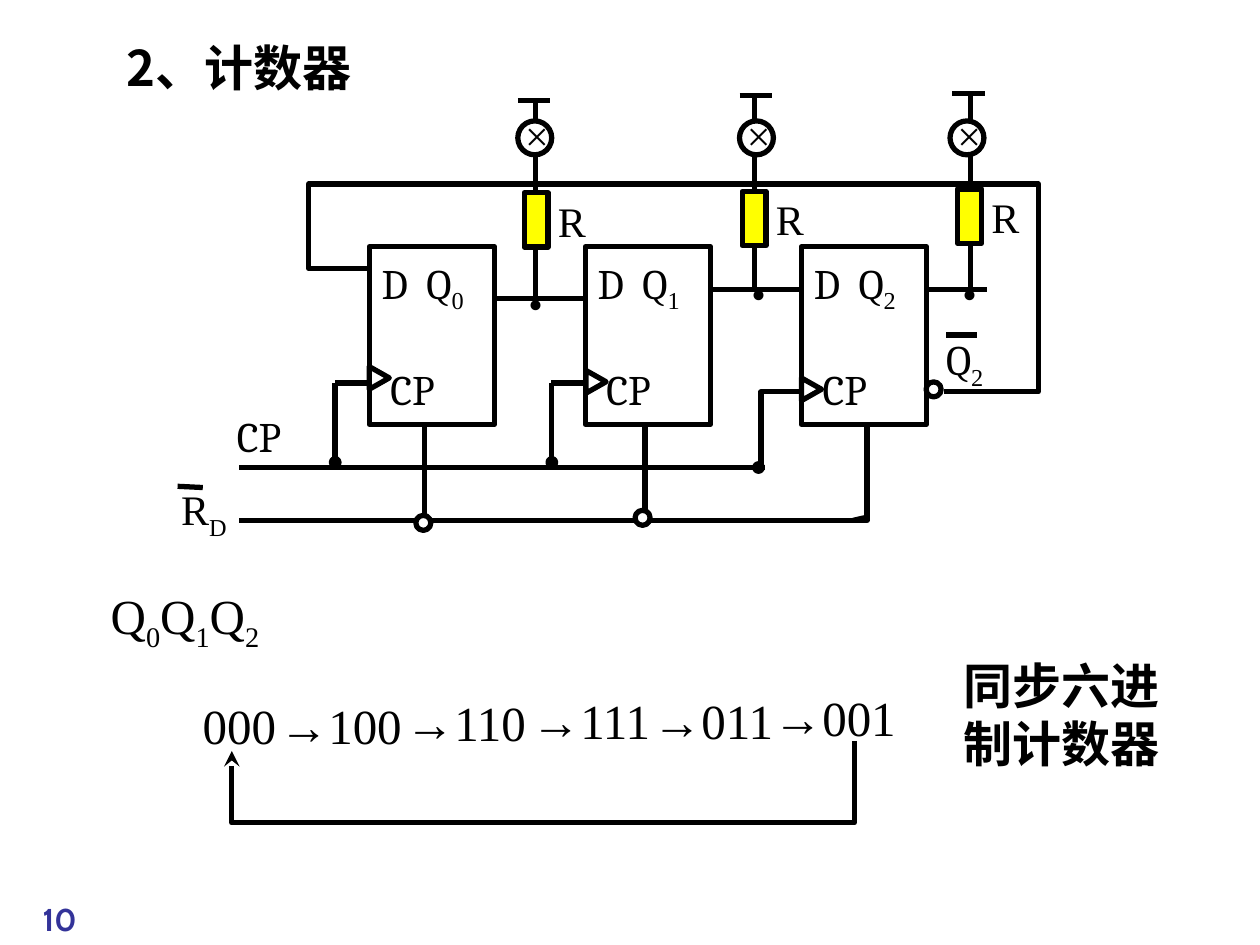
from lxml import etree
from pptx import Presentation
from pptx.dml.color import RGBColor
from pptx.enum import shapes, text
from pptx.oxml.ns import qn
from pptx.util import Pt

BLACK = RGBColor(0, 0, 0)
WHITE = RGBColor(255, 255, 255)
YELLOW = RGBColor(255, 255, 0)
NAVY = RGBColor(0x33, 0x33, 0x99)
SERIF, CAMBRIA, CHINESE = "Times New Roman", "Cambria", "Noto Sans CJK SC"
STAGE_STEP = 123.5


def outline(shape, fill=None):
    """Give a shape a black 3 pt line, no shadow, and an optional fill."""
    shape.shadow.inherit = False
    shape.line.color.rgb = BLACK
    shape.line.width = Pt(3)
    if fill is None:
        shape.fill.background()
    else:
        shape.fill.solid()
        shape.fill.fore_color.rgb = fill


def add_runs(paragraph, runs, size, color=BLACK, bold=False):
    """Add (wording, font, is_subscript) runs to a left-aligned paragraph."""
    paragraph.alignment = text.PP_ALIGN.LEFT
    for wording, font_name, subscript in runs:
        run = paragraph.add_run()
        run.text = wording
        run.font.name = font_name
        run.font.size = Pt(size)
        run.font.bold = bold
        run.font.color.rgb = color
        properties = run.font._element
        if subscript:
            properties.set("baseline", "-25000")
        if font_name == CHINESE:
            etree.SubElement(properties, qn("a:ea")).set("typeface", font_name)


presentation = Presentation()
presentation.slide_width, presentation.slide_height = Pt(720), Pt(540)
slide = presentation.slides.add_slide(presentation.slide_layouts[6])
slide.background.fill.solid()
slide.background.fill.fore_color.rgb = WHITE

# Flip-flops
for stage in range(3):
    flip_flop = slide.shapes.add_shape(
        shapes.MSO_SHAPE.RECTANGLE, Pt(211 + STAGE_STEP * stage), Pt(141), Pt(71.5), Pt(101.5))
    outline(flip_flop)
    frame = flip_flop.text_frame
    frame.vertical_anchor = text.MSO_ANCHOR.MIDDLE
    data_line = frame.paragraphs[0]
    add_runs(data_line, [("D", CAMBRIA, False), (" ", CAMBRIA, False),
                         ("Q", CAMBRIA, False), (str(stage), SERIF, True)], 24)
    data_line.runs[1].font._element.set("spc", "530")
    clock_line = frame.add_paragraph()
    clock_line.space_before = Pt(28)
    clock_line._p.get_or_add_pPr().set("marL", str(Pt(5)))
    add_runs(clock_line, [("CP", CAMBRIA, False)], 24)

# Wires, each a list of corner points
wires = [
    [(282.5, 170.6), (334.5, 170.6)],
    [(406, 165.6), (458, 165.6)],
    [(529.5, 165.6), (563.8, 165.6)],
    [(136.8, 267.1), (437, 267.1)],
    [(457.2, 223.9), (434.9, 223.9), (434.9, 267.8)],
    [(495.4, 242), (495.4, 297.4), (136.8, 297.4)],
    [(487.4, 297.4), (493.9, 295.9)],
    [(242.6, 242), (242.6, 296)],
    [(368.6, 242), (368.6, 296)],
    [(101.5, 277.9), (115.9, 278.6)],
    [(540.7, 191.5), (558, 191.5)],
    [(539.3, 223.9), (593.3, 223.9), (593.3, 105.1),
     (176.4, 105.1), (176.4, 153.4), (211.7, 153.4)],
]
for stage in range(2):
    x = 191.5 + STAGE_STEP * stage
    wires += [[(x, 218.9), (x + 19.5, 218.9)], [(x, 218.9), (x, 262)]]

junctions = [(189.4, 262.1), (313.2, 262.1), (431.3, 265)]
bubbles = [(362.9, 291.6), (237.6, 294.5), (529.2, 218.2)]
clock_marks = [(210.2, 210.2), (334.1, 212.4), (457.2, 216.7)]
parts = [(shapes.MSO_SHAPE.OVAL, x, y, 4.3, 4.3, BLACK, 0) for x, y in junctions]
parts += [(shapes.MSO_SHAPE.OVAL, x, y, 8.6, 8.6, WHITE, 0) for x, y in bubbles]
parts += [(shapes.MSO_SHAPE.ISOSCELES_TRIANGLE, x, y, 13, 11.5, None, 90)
          for x, y in clock_marks]

# Labels: left, top, width, height, runs, size, color, bold
labels = [
    (128.2, 231.1, 44.6, 36, [("CP", CAMBRIA, False)], 24, BLACK, False),
    (96.5, 272.9, 69, 36, [("R", SERIF, False), ("D", SERIF, True)], 24, BLACK, False),
    (533.5, 187.2, 42.5, 36, [("Q", CAMBRIA, False), ("2", SERIF, True)], 24, BLACK, False),
    (56.2, 331.2, 126.7, 41,
     [run for digit in "012" for run in (("Q", SERIF, False), (digit, SERIF, True))],
     28, BLACK, False),
    (543.6, 370.8, 142.6, 74, [("同步六进制计数器", CHINESE, False)], 28, BLACK, True),
    (65.5, 18, 199.4, 41, [("2、计数器", CHINESE, False)], 28, BLACK, True),
    (17.3, 510.5, 71.3, 26.6, [("10", "Cabin", False)], 18, NAVY, True),
]
states = [("000", 108.7, 393.8), ("→100", 152.6, 393.8), ("→110", 224.6, 392.4),
          ("→111", 296.6, 391), ("→011", 365.8, 391), ("→001", 434.9, 389.5)]
labels += [(x, y, 103, 41, [(state, SERIF, False)], 28, BLACK, False)
           for state, x, y in states]

# Lamp branches: wire x, wire bottom, wire top, bar x, bar y, lamp x,
# resistor x, resistor y, dot x, dot y
branches = [
    (306, 170.6, 59, 295.9, 57.6, 295.9, 299.5, 110.2, 293, 125.3),
    (431.3, 166.3, 54.7, 422.6, 54.7, 422.6, 424.1, 109.4, 420.5, 119.5),
    (554.4, 164.9, 53.3, 544.3, 53.3, 542.9, 547.2, 108, 541.4, 119.5),
]
for (wire_x, bottom, top, bar_x, bar_y, lamp_x,
     resistor_x, resistor_y, dot_x, dot_y) in branches:
    wires += [[(wire_x, bottom), (wire_x, top)], [(bar_x, bar_y), (bar_x + 18.4, bar_y)]]
    parts += [(shapes.MSO_SHAPE.OVAL, lamp_x, 69.1, 19.4, 19.4, WHITE, 0),
              (shapes.MSO_SHAPE.RECTANGLE, resistor_x, resistor_y, 13.7, 31, YELLOW, 0)]
    labels += [
        (lamp_x - 2.9, 59, 41, 36, [("×", SERIF, False)], 24, BLACK, False),
        (dot_x, dot_y, 28, 64.8, [(".", SERIF, False)], 48, BLACK, False),
        (resistor_x + 12.2, resistor_y - 2.2, 44.6, 36, [("R", SERIF, False)], 24, BLACK, False),
    ]

# Return path from the last state to the first; drawn last so it gets the arrowhead
wires.append([(488.2, 423.4), (488.2, 470.2), (132.5, 470.2), (132.5, 429.1)])

for points in wires:
    corners = [(Pt(x), Pt(y)) for x, y in points]
    if len(corners) == 2:
        wire = slide.shapes.add_connector(
            shapes.MSO_CONNECTOR.STRAIGHT, *corners[0], *corners[1])
        wire.line.color.rgb = BLACK
        wire.line.width = Pt(3)
        etree.SubElement(wire._element.spPr, qn("a:effectLst"))
    else:
        builder = slide.shapes.build_freeform(*corners[0])
        builder.add_line_segments(corners[1:], close=False)
        wire = builder.convert_to_shape()
        outline(wire)
etree.SubElement(wire.line._get_or_add_ln(), qn("a:tailEnd")).set("type", "stealth")

for kind, x, y, width, height, fill, rotation in parts:
    part = slide.shapes.add_shape(kind, Pt(x), Pt(y), Pt(width), Pt(height))
    part.rotation = rotation
    outline(part, fill)

for x, y, width, height, runs, size, color, bold in labels:
    frame = slide.shapes.add_textbox(Pt(x), Pt(y), Pt(width), Pt(height)).text_frame
    frame.word_wrap = True
    paragraph = frame.paragraphs[0]
    paragraph.space_before = Pt(size / 10)
    add_runs(paragraph, runs, size, color, bold)

presentation.save("out.pptx")
